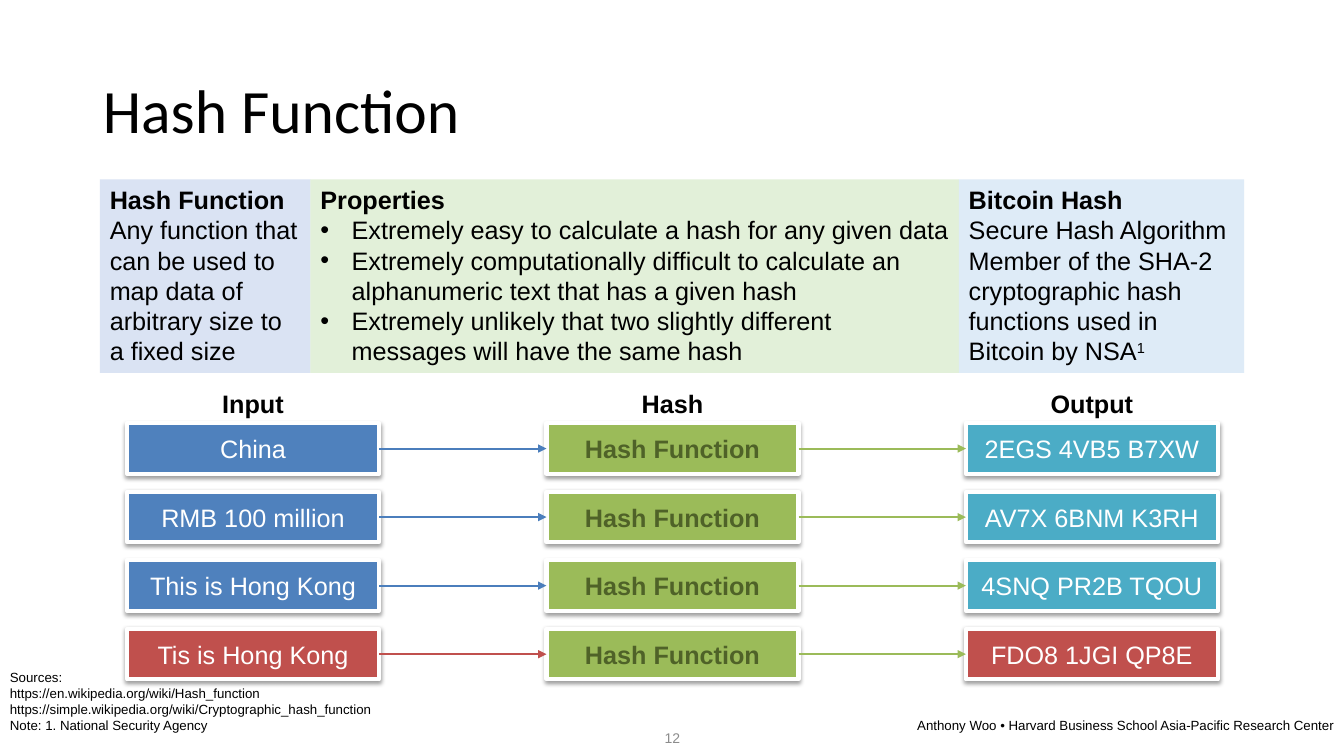
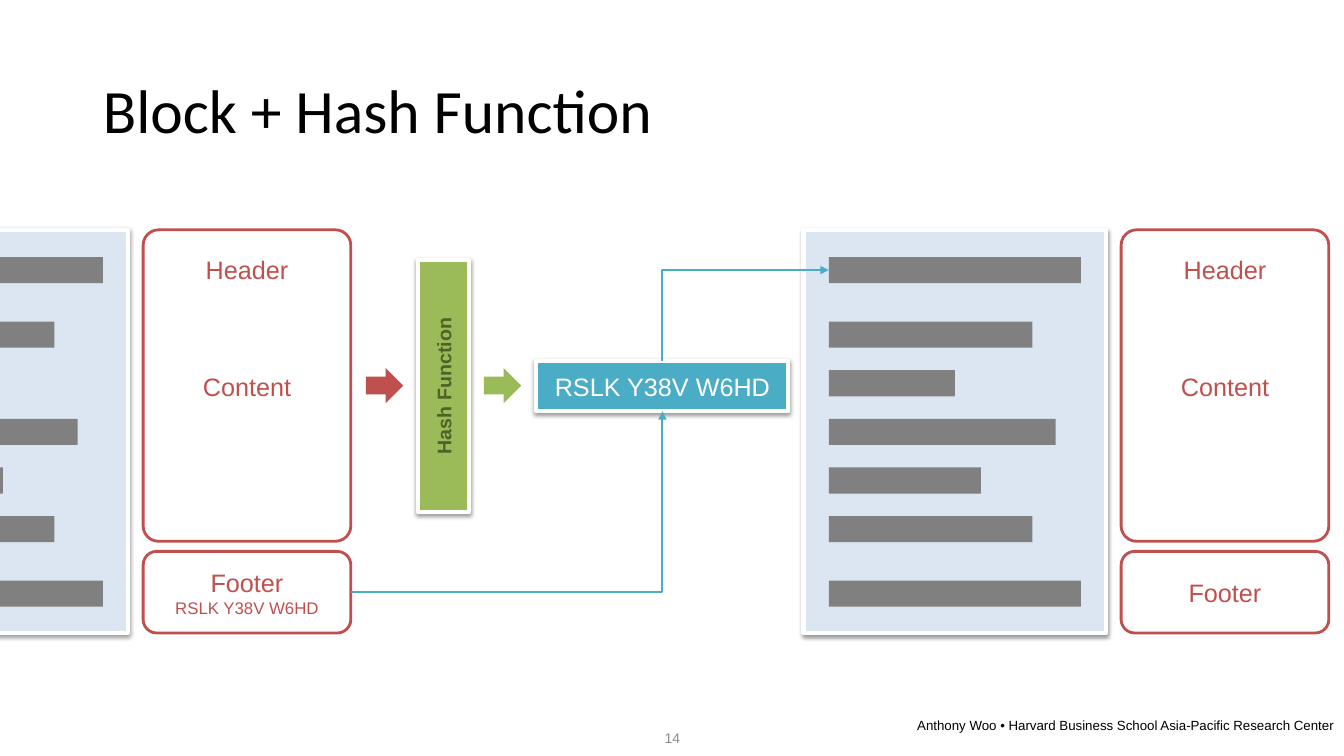
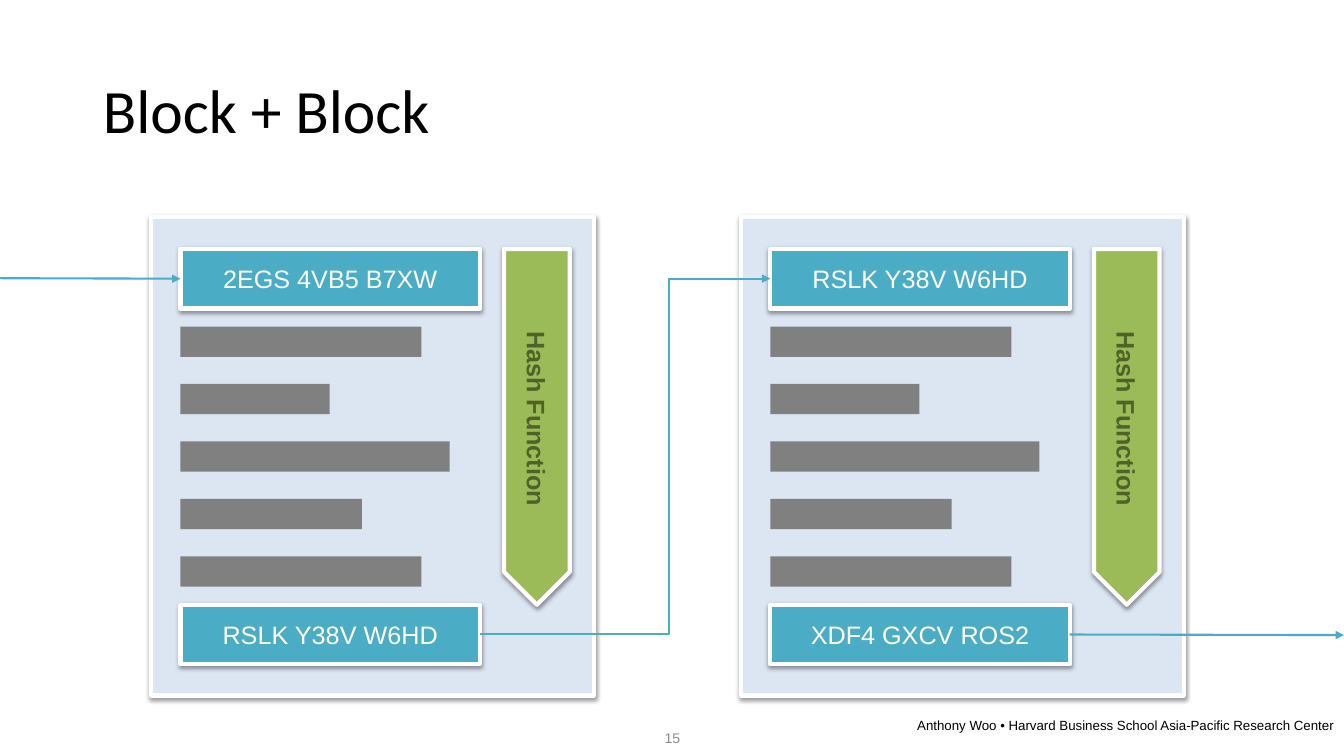
from dataclasses import dataclass
from typing import NamedTuple, Optional, Sequence

from lxml import etree
from pptx import Presentation
from pptx.dml.color import RGBColor
from pptx.enum.shapes import MSO_CONNECTOR, MSO_SHAPE
from pptx.enum.text import MSO_ANCHOR, PP_ALIGN
from pptx.oxml.ns import qn
from pptx.util import Inches, Pt

# Shared look
BLACK, WHITE, GREY, NUMBER_GREY = "000000", "FFFFFF", "808080", "8C8C8C"
BLUE, BLUE_LINE, RED = "4F81BD", "4B7EBC", "C0504D"
GREEN, DARK_GREEN, TEAL, PAGE_BLUE = "9BBB59", "4F6228", "4BACC6", "DCE6F2"
TOP, LEFT, BOTTOM, RIGHT = range(4)
CREDIT = "Anthony Woo • Harvard Business School Asia-Pacific Research Center"


class Box(NamedTuple):
    left: float
    top: float
    width: float
    height: float


class Side(NamedTuple):
    """A connection point: the middle of one side of a shape."""
    shape: object
    site: int


class Point(NamedTuple):
    x: float
    y: float


@dataclass(frozen=True)
class Style:
    size: float = 18
    color: str = BLACK
    bold: bool = False
    align: PP_ALIGN = PP_ALIGN.CENTER
    anchor: MSO_ANCHOR = MSO_ANCHOR.MIDDLE


@dataclass(frozen=True)
class Line:
    text: str
    bold: Optional[bool] = None
    size: Optional[float] = None
    bullet: bool = False
    superscript: str = ""


@dataclass(frozen=True)
class Card:
    width: float
    color: str
    lines: Sequence[Line]


@dataclass(frozen=True)
class HashRow:
    source: str
    result: str
    source_color: str = BLUE
    arrow_color: str = BLUE_LINE
    result_color: str = TEAL


WHITE_TEXT = Style(color=WHITE)
RED_TEXT = Style(color=RED)
HASH_TEXT = Style(color=DARK_GREEN, bold=True)
CARD_TEXT = Style(align=PP_ALIGN.LEFT, anchor=MSO_ANCHOR.TOP)


def rgb(color: str) -> RGBColor:
    return RGBColor.from_string(color)


def lengths(values: Sequence[float]) -> list:
    return [Inches(value) for value in values]


# Text
def add_run(paragraph, text: str, style: Style, line: Line, raised: bool = False) -> None:
    run = paragraph.add_run()
    run.text = text
    run.font.name = "Arial"
    run.font.size = Pt(line.size or style.size)
    run.font.bold = style.bold if line.bold is None else line.bold
    run.font.color.rgb = rgb(style.color)
    if raised:
        run.font._element.set("baseline", "30000")


def write_text(frame, lines: Sequence[Line], style: Style) -> None:
    frame.word_wrap = True
    frame.vertical_anchor = style.anchor
    for index, line in enumerate(lines):
        paragraph = frame.add_paragraph() if index else frame.paragraphs[0]
        paragraph.alignment = style.align
        if line.bullet:
            properties = paragraph._p.get_or_add_pPr()
            properties.set("marL", str(Inches(0.31)))
            properties.set("indent", str(Inches(-0.31)))
            etree.SubElement(properties, qn("a:buFont")).set("typeface", "Arial")
            etree.SubElement(properties, qn("a:buChar")).set("char", "•")
        add_run(paragraph, line.text, style, line)
        if line.superscript:
            add_run(paragraph, line.superscript, style, line, raised=True)


def add_text(slide, box: Box, lines: Sequence[Line], style: Style):
    shape = slide.shapes.add_textbox(*lengths(box))
    write_text(shape.text_frame, lines, style)
    return shape


# Shapes
def add_block(slide, box: Box, fill: str, lines: Sequence[Line] = (),
              style: Style = WHITE_TEXT, kind: MSO_SHAPE = MSO_SHAPE.RECTANGLE,
              outline: Optional[str] = None, weight: float = 2):
    shape = slide.shapes.add_shape(kind, *lengths(box))
    shape.shadow.inherit = False
    shape.fill.solid()
    shape.fill.fore_color.rgb = rgb(fill)
    if outline:
        shape.line.color.rgb = rgb(outline)
        shape.line.width = Pt(weight)
    else:
        shape.line.fill.background()
    if lines:
        write_text(shape.text_frame, lines, style)
    return shape


def add_raised(slide, box: Box, fill: str, text: str = "",
               style: Style = WHITE_TEXT, kind: MSO_SHAPE = MSO_SHAPE.RECTANGLE):
    """A block with a white edge and a soft shadow below."""
    shape = add_block(slide, box, fill, [Line(text)] if text else (), style, kind, WHITE, 3)
    effects = shape._element.spPr.find(qn("a:effectLst"))
    shadow = etree.SubElement(effects, qn("a:outerShdw"), blurRad=str(Pt(3.1)),
                              dist=str(Pt(1.6)), dir="5400000", rotWithShape="0")
    color = etree.SubElement(shadow, qn("a:srgbClr"), val=BLACK)
    etree.SubElement(color, qn("a:alpha"), val="38000")
    return shape


def add_bars(slide, left: float, tops: Sequence[float], widths: Sequence[float],
             height: float) -> list:
    """Grey lines of text; those wholly left of the slide are skipped."""
    return [add_block(slide, Box(left, top, width, height), GREY)
            for top, width in zip(tops, widths) if left + width > 0]


# Connectors
def locate(end) -> tuple:
    if isinstance(end, Point):
        return tuple(lengths(end))
    shape, site = end
    x = {LEFT: 0, RIGHT: shape.width}.get(site, shape.width // 2)
    y = {TOP: 0, BOTTOM: shape.height}.get(site, shape.height // 2)
    return shape.left + x, shape.top + y


def add_arrow(slide, begin, end, color: str, preset: str = "line",
              bend: Optional[float] = None, arrow_end: str = "a:tailEnd") -> None:
    kind = MSO_CONNECTOR.STRAIGHT if preset == "line" else MSO_CONNECTOR.ELBOW
    connector = slide.shapes.add_connector(kind, *locate(begin), *locate(end))
    if isinstance(begin, Side):
        connector.begin_connect(*begin)
    if isinstance(end, Side):
        connector.end_connect(*end)
    connector.line.color.rgb = rgb(color)
    connector.line.width = Pt(1.5)
    properties = connector._element.spPr
    geometry = properties.find(qn("a:prstGeom"))
    geometry.set("prst", preset)
    if bend is not None:
        etree.SubElement(geometry.find(qn("a:avLst")), qn("a:gd"),
                         name="adj1", fmla=f"val {round(bend * 100000)}")
    etree.SubElement(properties.find(qn("a:ln")), qn(arrow_end), type="triangle")
    etree.SubElement(properties, qn("a:effectLst"))


# Slide frame: title, credit and number
def start_slide(presentation, title: str, number: int):
    slide = presentation.slides.add_slide(presentation.slide_layouts[5])
    shape = slide.shapes.title
    shape.left, shape.top, shape.width, shape.height = lengths((0.92, 0.4, 11.5, 1.45))
    frame = shape.text_frame
    frame.vertical_anchor = MSO_ANCHOR.MIDDLE
    paragraph = frame.paragraphs[0]
    paragraph.alignment = PP_ALIGN.LEFT
    paragraph.line_spacing = 0.9
    run = paragraph.add_run()
    run.text = title
    run.font.name = "Calibri"
    run.font.size = Pt(44)
    run.font.color.rgb = rgb(BLACK)
    add_text(slide, Box(7.33, 7.06, 6, 0.26), [Line(CREDIT)],
             Style(9.5, align=PP_ALIGN.RIGHT, anchor=MSO_ANCHOR.BOTTOM))
    number_box = add_text(slide, Box(5.17, 7.1, 3, 0.4), [Line(str(number))],
                          Style(10, NUMBER_GREY))
    number_box.text_frame.margin_bottom = 0
    return slide


# Slide: hash function
CARDS = (
    Card(2.09, "DAE3F3", (
        Line("Hash Function", bold=True),
        Line("Any function that can be used to map data of arbitrary size to a fixed size"))),
    Card(6.43, "E2F0D9", (
        Line("Properties", bold=True),
        Line("Extremely easy to calculate a hash for any given data", bullet=True),
        Line("Extremely computationally difficult to calculate an alphanumeric text "
             "that has a given hash", bullet=True),
        Line("Extremely unlikely that two slightly different messages will have "
             "the same hash", bullet=True))),
    Card(2.83, "DEEBF7", (
        Line("Bitcoin Hash", bold=True),
        Line("Secure Hash Algorithm"),
        Line("Member of the SHA-2 cryptographic hash functions used in Bitcoin by NSA",
             superscript="1"))),
)
HASH_ROWS = (
    HashRow("China", "2EGS 4VB5 B7XW"),
    HashRow("RMB 100 million", "AV7X 6BNM K3RH"),
    HashRow("This is Hong Kong", "4SNQ PR2B TQOU"),
    HashRow("Tis is Hong Kong", "FDO8 1JGI QP8E", RED, RED, RED),
)
SOURCES = (
    "Sources:",
    "https://en.wikipedia.org/wiki/Hash_function",
    "https://simple.wikipedia.org/wiki/Cryptographic_hash_function",
    "Note: 1. National Security Agency",
)


def build_hash_function(presentation) -> None:
    slide = start_slide(presentation, "Hash Function", 12)
    add_text(slide, Box(0, 6.58, 6, 0.74), [Line(text) for text in SOURCES],
             Style(9.5, align=PP_ALIGN.LEFT, anchor=MSO_ANCHOR.BOTTOM))

    left = 0.99
    for card in CARDS:
        add_block(slide, Box(left, 1.78, card.width, 1.92), card.color, card.lines, CARD_TEXT)
        left += card.width

    columns = [1.26 + 4.16 * index for index in range(3)]
    for column, heading in zip(columns, ("Input", "Hash", "Output")):
        add_text(slide, Box(column, 3.8, 2.5, 0.4), [Line(heading)], Style(bold=True))

    for index, row in enumerate(HASH_ROWS):
        source_box, hash_box, result_box = [Box(column, 4.2 + 0.68 * index, 2.5, 0.5)
                                            for column in columns]
        source = add_raised(slide, source_box, row.source_color, row.source)
        function = add_raised(slide, hash_box, GREEN, "Hash Function", HASH_TEXT)
        result = add_raised(slide, result_box, row.result_color, row.result)
        add_arrow(slide, Side(source, RIGHT), Side(function, LEFT), row.arrow_color)
        add_arrow(slide, Side(function, RIGHT), Side(result, LEFT), GREEN)


# Slide: block and hash function
def add_labelled_block(slide, left: float, footer: Sequence[Line]) -> tuple:
    """A page with its header, content and footer; returns top bar and footer."""
    label_left, label_width = left + 3.15, 2.06
    outline = add_block(slide, Box(label_left, 2.28, label_width, 3.09), WHITE,
                        kind=MSO_SHAPE.ROUNDED_RECTANGLE, outline=RED)
    outline.adjustments[0] = 0.074
    add_raised(slide, Box(left, 2.28, 3, 4), PAGE_BLUE)
    tops = [2.55, *(3.19 + 0.4825 * index for index in range(5)), 5.76]
    bars = add_bars(slide, left + 0.25, tops, (2.5, 2.02, 1.25, 2.25, 1.51, 2.02, 2.5), 0.26)
    for text, top in (("Header", 2.47), ("Content", 3.63)):
        add_text(slide, Box(label_left, top, label_width, 0.4), [Line(text)], RED_TEXT)
    footer_shape = add_block(slide, Box(label_left, 5.47, label_width, 0.81), WHITE, footer,
                             RED_TEXT, MSO_SHAPE.ROUNDED_RECTANGLE, RED)
    return bars[0], footer_shape


def build_block_and_hash(presentation) -> None:
    slide = start_slide(presentation, "Block + Hash Function", 14)
    code = "RSLK Y38V W6HD"
    _, footer = add_labelled_block(slide, -1.73, [Line("Footer"), Line(code, size=12)])
    next_header, _ = add_labelled_block(slide, 7.97, [Line("Footer")])

    function = add_raised(slide, Box(3.15, 3.58, 2.5, 0.5), GREEN, "Hash Function",
                          Style(14, DARK_GREEN, True))
    function.rotation = 270
    for left, color in ((3.63, RED), (4.8, GREEN)):
        add_block(slide, Box(left, 3.65, 0.37, 0.35), color, kind=MSO_SHAPE.RIGHT_ARROW)
    result = add_raised(slide, Box(5.32, 3.58, 2.5, 0.5), TEAL, code)

    add_arrow(slide, Side(footer, RIGHT), Side(result, BOTTOM), TEAL, "bentConnector2")
    # Drawn from the header, so that the bend lies above the result
    add_arrow(slide, Side(next_header, LEFT), Side(result, TOP), TEAL, "bentConnector2",
              arrow_end="a:headEnd")


# Slide: block and block
def add_hashed_block(slide, left: float, previous_code: str, own_code: str) -> list:
    """A page between two codes; returns the code shapes."""
    add_raised(slide, Box(left, 2.15, 4.39, 4.75), PAGE_BLUE)
    inner = left + 0.29
    add_bars(slide, inner, [3.24 + 0.57 * index for index in range(5)],
             (2.39, 1.48, 2.67, 1.8, 2.39), 0.3)
    codes = [add_raised(slide, Box(inner, top, 2.97, 0.59), TEAL, code)
             for top, code in ((2.47, previous_code), (6, own_code))]
    function = add_raised(slide, Box(left + 2.06, 3.91, 3.53, 0.65), GREEN, "Hash Function",
                          HASH_TEXT, MSO_SHAPE.PENTAGON)
    function.rotation = 90
    return codes


def build_block_and_block(presentation) -> None:
    slide = start_slide(presentation, "Block + Block", 15)
    first_in, first_out = add_hashed_block(slide, 1.5, "2EGS 4VB5 B7XW", "RSLK Y38V W6HD")
    second_in, second_out = add_hashed_block(slide, 7.35, "RSLK Y38V W6HD", "XDF4 GXCV ROS2")
    add_arrow(slide, Point(0, 2.76), Side(first_in, LEFT), TEAL)
    add_arrow(slide, Side(first_out, RIGHT), Side(second_in, LEFT), TEAL,
              "bentConnector3", bend=0.65)
    add_arrow(slide, Side(second_out, RIGHT), Point(13.33, 6.3), TEAL)


def main() -> None:
    presentation = Presentation()
    presentation.slide_width = Inches(13.33)
    presentation.slide_height = Inches(7.5)
    build_hash_function(presentation)
    build_block_and_hash(presentation)
    build_block_and_block(presentation)
    presentation.save("out.pptx")


if __name__ == "__main__":
    main()
